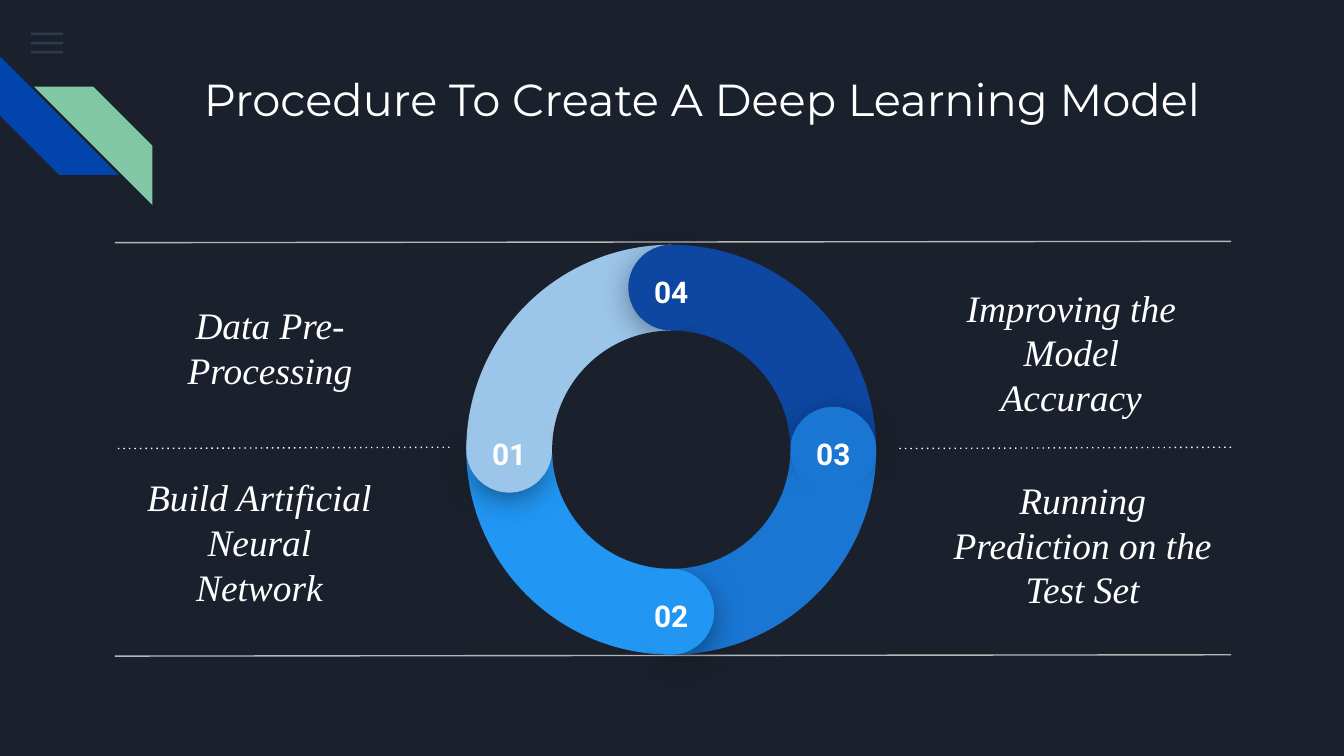
from dataclasses import dataclass
from math import cos, radians, sin

from pptx import Presentation
from pptx.dml.color import RGBColor
from pptx.enum import dml, shapes, text
from pptx.oxml import ns, parse_xml
from pptx.slide import Slide
from pptx.util import Pt

NIGHT = RGBColor(0x1B, 0x21, 0x2C)
WHITE = RGBColor(0xFF, 0xFF, 0xFF)
GREY = RGBColor(0xB7, 0xB7, 0xB7)
SLATE = RGBColor(0x55, 0x68, 0x8B)
ROYAL = RGBColor(0x01, 0x45, 0xAC)
MINT = RGBColor(0x82, 0xC7, 0xA5)
PALE_BLUE = RGBColor(0x9B, 0xC5, 0xE9)
BRIGHT_BLUE = RGBColor(0x21, 0x96, 0xF3)
MID_BLUE = RGBColor(0x19, 0x76, 0xD2)
DEEP_BLUE = RGBColor(0x0D, 0x47, 0xA1)

KIND = shapes.MSO_SHAPE
CENTER = text.PP_ALIGN.CENTER
TOP, BOTTOM = text.MSO_ANCHOR.TOP, text.MSO_ANCHOR.BOTTOM


@dataclass
class Painter:
    page: Slide
    inset: float = 7.2
    line_width: float = 0.75
    ink: RGBColor = WHITE

    def shape(self, kind, left, top, width, height, color, turn=0, adjust=()):
        shape = self.page.shapes.add_shape(kind, Pt(left), Pt(top), Pt(width), Pt(height))
        shape.shadow.inherit = False
        shape.fill.solid()
        shape.fill.fore_color.rgb = color
        shape.line.fill.background()
        shape.rotation = turn % 360
        for index, value in enumerate(adjust):
            shape.adjustments[index] = value
        return shape

    def disc(self, kind, middle, size, color, turn=0, adjust=()):
        x, y = middle
        return self.shape(kind, x - size / 2, y - size / 2, size, size, color, turn, adjust)

    def fade(self, shape, percent):
        color = shape.fill._xPr.find(".//" + ns.qn("a:srgbClr"))
        color.append(parse_xml(f'<a:alpha {ns.nsdecls("a")} val="{percent * 1000}"/>'))

    def glow(self, shape):
        effects = shape._element.spPr.find(ns.qn("a:effectLst"))
        effects.append(parse_xml(
            f'<a:outerShdw {ns.nsdecls("a")} blurRad="{Pt(18)}" dist="{Pt(4)}" dir="5400000" '
            'algn="bl" rotWithShape="0"><a:srgbClr val="000000"><a:alpha val="55000"/>'
            '</a:srgbClr></a:outerShdw>'))

    def line(self, left, right, y, color, dotted=False):
        line = self.page.shapes.add_connector(
            shapes.MSO_CONNECTOR.STRAIGHT, Pt(right), Pt(y), Pt(left), Pt(y + 0.7))
        line.line.color.rgb = color
        line.line.width = Pt(self.line_width)
        properties = line._element.spPr
        if dotted:
            line.line.dash_style = dml.MSO_LINE.ROUND_DOT
            properties.find(".//" + ns.qn("a:prstDash")).set("val", "dot")
        properties.append(parse_xml(f'<a:effectLst {ns.nsdecls("a")}/>'))

    def text(self, words, left, top, width, height, font, size,
             align=CENTER, anchor=TOP, bold=False, italic=False):
        box = self.page.shapes.add_textbox(Pt(left), Pt(top), Pt(width), Pt(height))
        frame = box.text_frame
        frame.word_wrap = True
        frame.vertical_anchor = anchor
        frame.margin_left = frame.margin_right = Pt(self.inset)
        frame.margin_top = frame.margin_bottom = Pt(self.inset)
        para = frame.paragraphs[0]
        para.alignment = align
        span = para.add_run()
        span.text = words
        span.font.name = font
        span.font.size = Pt(size)
        span.font.bold = bold
        span.font.italic = italic
        span.font.color.rgb = self.ink

    def group(self, *members):
        self.page.shapes.add_group_shape(shapes=members)


def around(middle, radius, angle):
    x, y = middle
    return x + radius * cos(radians(angle)), y + radius * sin(radians(angle))


deck = Presentation()
deck.slide_width, deck.slide_height = Pt(720), Pt(405)
page = deck.slides.add_slide(deck.slide_layouts[6])
page.background.fill.solid()
page.background.fill.fore_color.rgb = NIGHT
paint = Painter(page)

# Menu icon
for row in range(3):
    bar = paint.shape(KIND.RECTANGLE, 16.6, 17.5 + 4.9 * row, 17.3, 1.4, SLATE)
    paint.fade(bar, 36)

# Corner stripes
blue_stripe = paint.shape(KIND.DIAGONAL_STRIPE, 0, 30.2, 63.5, 63.5, ROYAL, 270, [0.5])
mint_stripe = paint.shape(KIND.DIAGONAL_STRIPE, 18.2, 46.4, 63.5, 63.5, MINT, 0, [0.5])
mint_stripe._element.spPr.xfrm.set("flipH", "1")
paint.group(blue_stripe, mint_stripe)

# Title
paint.text("Procedure To Create A Deep Learning Model", 102.2, 31, 554.4, 72,
           "Montserrat", 24, align=text.PP_ALIGN.LEFT)

# Divider lines
LEFT, RIGHT = 61.5, 659.5
paint.line(LEFT, RIGHT, 129.3, GREY)
paint.line(LEFT + 1.5, 240.8, 239.6, WHITE, dotted=True)
paint.line(481.5, RIGHT, 239.6, WHITE, dotted=True)
paint.line(LEFT, RIGHT, 350.8, GREY)

# Ring of four quarters, numbered counter-clockwise from the left
MIDDLE = (359.6, 240.9)
RING, HOLE = 219.6, 127.6
BAND = (RING - HOLE) / 2
TRACK = (RING + HOLE) / 4
steps = [("01", PALE_BLUE), ("02", BRIGHT_BLUE), ("03", MID_BLUE), ("04", DEEP_BLUE)]

for index, (number, color) in enumerate(steps):
    paint.disc(KIND.PIE, MIDDLE, RING, color, -90 * index, [107.96, 162.01])

# Rounded caps with numbers
for index, (number, color) in enumerate(steps):
    angle, turn = 180 - 90 * index, -90 * index
    shaded = paint.disc(KIND.PIE, around(MIDDLE, TRACK + 1, angle), 41, color,
                        turn + 39.5, [189.54, 83.81])
    paint.glow(shaded)
    cap = paint.disc(KIND.CHORD, around(MIDDLE, TRACK, angle), BAND, color,
                     turn + 4.1, [25.01, 18.12])
    paint.group(shaded, cap)
    x, y = around(MIDDLE, TRACK, angle)
    paint.text(number, x - 20, y - 14.5, 40, 21, "Roboto", 16, bold=True)

paint.disc(KIND.OVAL, MIDDLE, HOLE, NIGHT)

# Step captions
captions = [
    ("Data Pre-Processing", 73.4, 154.8, 142.6, 58.3, TOP),
    ("Build Artificial Neural Network", 67.7, 243.4, 142.6, 90, BOTTOM),
    ("Running Prediction on the Test Set", 502.6, 255.6, 154.8, 79.2, BOTTOM),
    ("Improving the Model Accuracy", 502.6, 145.4, 142.6, 79.2, TOP),
]
for words, left, top, width, height, anchor in captions:
    paint.text(words, left, top, width, height, "Times New Roman", 20,
               anchor=anchor, italic=True)

deck.save("out.pptx")
